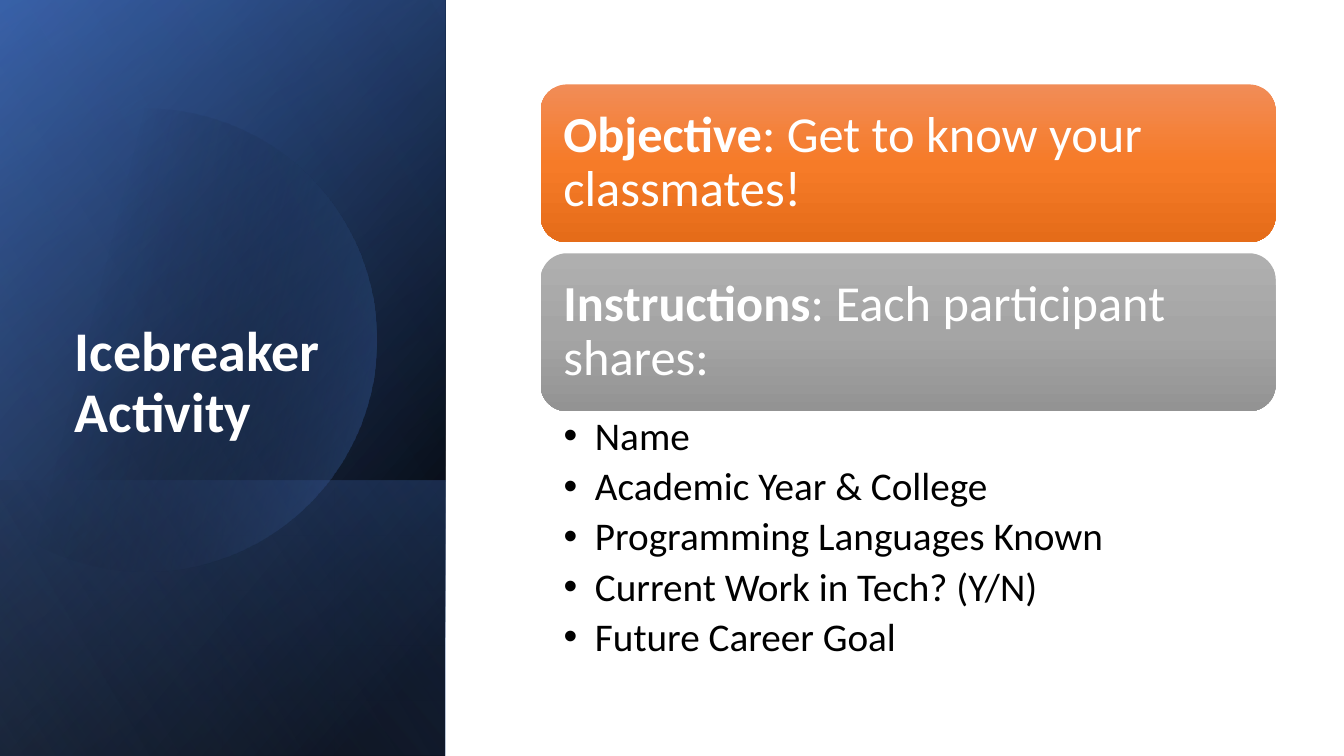
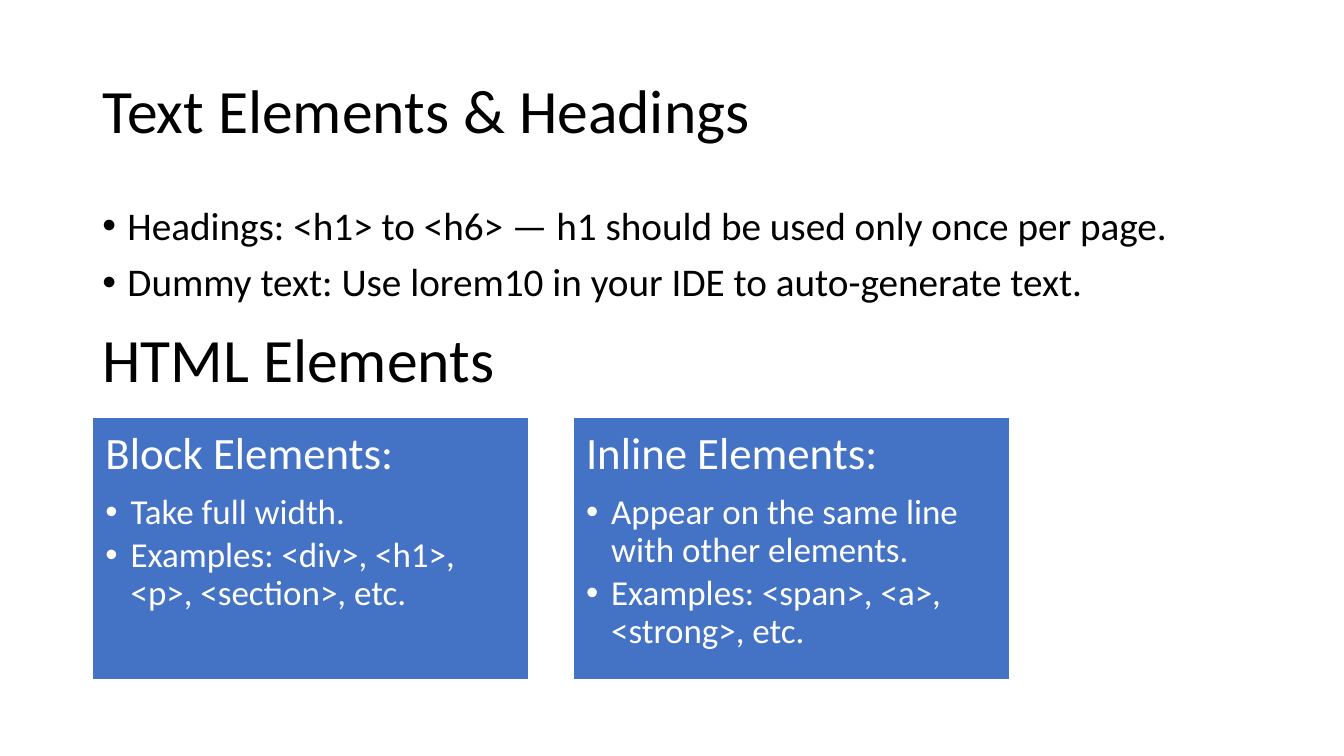
from collections import namedtuple
from math import acos, cos, pi, sin

from pptx import Presentation
from pptx.dml.color import RGBColor
from pptx.enum.shapes import MSO_SHAPE
from pptx.enum.text import MSO_ANCHOR, MSO_AUTO_SIZE, PP_ALIGN
from pptx.oxml import parse_xml
from pptx.oxml.ns import nsdecls, qn
from pptx.util import Inches, Pt

RECT, ROUND = MSO_SHAPE.RECTANGLE, MSO_SHAPE.ROUNDED_RECTANGLE
TOP, MID, LOW = MSO_ANCHOR.TOP, MSO_ANCHOR.MIDDLE, MSO_ANCHOR.BOTTOM
LEFT, FIXED = PP_ALIGN.LEFT, MSO_AUTO_SIZE.NONE

WHITE = RGBColor(0xFF, 0xFF, 0xFF)
BLACK = RGBColor(0x00, 0x00, 0x00)
BLUE = RGBColor(0x44, 0x72, 0xC4)
NAVY = RGBColor(0x2F, 0x55, 0x97)
PALE = RGBColor(0x8F, 0xAA, 0xDC)
ORANGE = [(0, RGBColor(0xF1, 0x8C, 0x57), 100), (50, RGBColor(0xF6, 0x7B, 0x28), 100),
          (100, RGBColor(0xE5, 0x6C, 0x19), 100)]
GREY = [(0, RGBColor(0xAF, 0xAF, 0xAF), 100), (50, RGBColor(0xA5, 0xA5, 0xA5), 100),
        (100, RGBColor(0x93, 0x93, 0x93), 100)]

# The slide is a grid of 160 columns by 90 rows of square cells.
WIDE, HIGH = Inches(13.333), Inches(7.5)
CELL = HIGH / 90
Box = namedtuple("Box", "x y w h")
PANEL = Box(0, 0, 53, 90)

FONT = {"name": "Calibri", "bold": False}
PLAIN = (0.05, 0.1)  # top and side insets in inches


def emu(box):
    return [round(n * CELL) for n in box]


def style(font, size, color, **more):
    for key, val in {**FONT, "size": Pt(size), **more}.items():
        setattr(font, key, val)
    font.color.rgb = color


def setup(frame, anchor=TOP, inset=PLAIN):
    top, side = map(Inches, inset)
    form = {"word_wrap": True, "auto_size": FIXED, "vertical_anchor": anchor,
            "margin_top": top, "margin_bottom": top,
            "margin_left": side, "margin_right": side}
    for key, val in form.items():
        setattr(frame, key, val)


def write(frame, lines, size, color, bullet=0, first=True, **form):
    """Add one paragraph per line; a line is a text or a (bold, normal) pair."""
    for num, line in enumerate(lines):
        para = frame.paragraphs[0] if first and num == 0 else frame.add_paragraph()
        base = {"alignment": LEFT, "line_spacing": 0.9, **form}
        if first and num == 0:
            base.pop("space_before", None)
        for key, val in base.items():
            setattr(para, key, val)
        if bullet:
            props = para._p.get_or_add_pPr()
            props.set("marL", str(Inches(bullet)))
            props.set("indent", str(-Inches(bullet)))
            for mark in ('buFont {} typeface="Arial"', 'buChar {} char="•"'):
                props.append(parse_xml(f'<a:{mark.format(nsdecls("a"))}/>'))
        pair = ("", line) if isinstance(line, str) else line
        for text, bold in zip(pair, (True, False)):
            if text:
                run = para.add_run()
                run.text = text
                style(run.font, size, color, bold=bold)


def blend(shape, stops, angle):
    """Fill with a gradient of (place, colour, opacity) stops, without outline."""
    shape.shadow.inherit = False
    shape.line.fill.background()
    shape.fill.background()
    marks = "".join(
        f'<a:gs pos="{at * 1000}"><a:srgbClr val="{color}">'
        f'<a:alpha val="{alpha * 1000}"/></a:srgbClr></a:gs>'
        for at, color, alpha in stops)
    grad = parse_xml(
        f'<a:gradFill {nsdecls("a")} rotWithShape="1"><a:gsLst>{marks}</a:gsLst>'
        f'<a:lin ang="{angle * 60000}" scaled="0"/></a:gradFill>')
    props = shape._element.spPr
    props.replace(props.find(qn("a:noFill")), grad)


def layer(slide, box, stops, angle):
    """Cover the box with a mirrored rectangle on its side."""
    turned = Box(box.x + (box.w - box.h) / 2, box.y + (box.h - box.w) / 2, box.h, box.w)
    shape = slide.shapes.add_shape(RECT, *emu(turned))
    shape.rotation = 90
    shape._element.spPr.xfrm.set("flipH", "1")
    blend(shape, stops, angle)


def disc(slide, box):
    """Draw a circle that is cut off at the left edge of the box."""
    rad, mid, row = box.w * 0.52, box.x + box.w * 0.325, box.y + box.h * 0.45
    end, steps = pi - acos((mid - box.x) / rad), 120
    turns = [end * (2 * n / steps - 1) for n in range(steps + 1)]
    dots = [((mid + rad * cos(t)) * CELL, (row + rad * sin(t)) * CELL) for t in turns]
    path = slide.shapes.build_freeform(*dots[0])
    path.add_line_segments(dots[1:], close=True)
    blend(path.convert_to_shape(), [(29, BLACK, 0), (100, BLUE, 43)], 14)


def panel(slide, box):
    layer(slide, box, [(8, BLACK, 100), (100, NAVY, 100)], 50)
    layer(slide, box, [(0, BLACK, 0), (99, BLUE, 46)], 30)
    foot = box.h * 0.365
    layer(slide, Box(box.x, box.y + box.h - foot, box.w, foot),
          [(2, BLUE, 29), (100, BLACK, 30)], 130)
    disc(slide, box)
    layer(slide, box, [(0, BLACK, 0), (99, PALE, 11)], 120)


def head(slide, box, text, size, color, anchor, bold=False):
    title = slide.shapes.title
    title.left, title.top, title.width, title.height = emu(box)
    setup(title.text_frame, anchor)
    write(title.text_frame, [(text, "") if bold else text], size, color)
    tree = slide.shapes._spTree
    tree.remove(title._element)
    tree.append(title._element)


def words(slide, box, lines, size, inset=PLAIN, **form):
    frame = slide.shapes.add_textbox(*emu(box)).text_frame
    setup(frame, inset=inset)
    write(frame, lines, size, BLACK, **form)


def bars(slide, box, rows):
    """Stack one rounded bar per row, with a gap between them."""
    step = box.h / len(rows)
    for num, (line, stops) in enumerate(rows):
        bar = slide.shapes.add_shape(
            ROUND, *emu(Box(box.x, box.y + num * step, box.w, step - 1.3)))
        blend(bar, stops, 90)
        setup(bar.text_frame, MID, (0.15, 0.15))
        write(bar.text_frame, [line], 36, WHITE)


def cards(slide, box, items):
    """Set one card per item side by side, with a gap between them."""
    gap = 5.2
    wide = (box.w - gap * (len(items) - 1)) / len(items)
    for num, (name, points) in enumerate(items):
        card = slide.shapes.add_shape(
            RECT, *emu(Box(box.x + num * (wide + gap), box.y, wide, box.h)))
        card.shadow.inherit = False
        card.fill.solid()
        card.fill.fore_color.rgb = BLUE
        card.line.color.rgb = WHITE
        card.line.width = Pt(1)
        setup(card.text_frame, inset=(0.13, 0.13))
        write(card.text_frame, [name], 32, WHITE, space_after=Pt(11.2))
        write(card.text_frame, points, 25, WHITE, bullet=0.25, first=False,
              space_after=Pt(3.75))


def intro(slide):
    panel(slide, PANEL)
    head(slide, Box(7.7, 22.1, 40.9, 31.4), "Icebreaker Activity", 40, WHITE, LOW, True)
    main_box = Box(64.35, 10.05, 87.5, 40.2)
    bars(slide, main_box, [
        (("Objective", ": Get to know your classmates!"), ORANGE),
        (("Instructions", ": Each participant shares:"), GREY)])
    words(slide, Box(main_box.x, 49, main_box.w, 32.3),
          ["Name", "Academic Year & College", "Programming Languages Known",
           "Current Work in Tech? (Y/N)", "Future Career Goal"],
          28, (0.05, 0.23), bullet=0.31, space_after=Pt(5.6))


def markup(slide):
    left, wide = 11, 138
    head(slide, Box(left, 4.8, wide, 17.4), "Text Elements & Headings", 44, BLACK, MID)
    words(slide, Box(left, 24, wide, 18.4),
          ["Headings: <h1> to <h6> — h1 should be used only once per page.",
           "Dummy text: Use lorem10 in your IDE to auto-generate text."],
          28, bullet=0.25, space_before=Pt(10))
    words(slide, Box(left, 37.6, 80, 10.1), ["HTML Elements"], 44, line_spacing=1.0)
    cards(slide, Box(left, 49.7, 109.2, 31.2), [
        ("Block Elements:",
         ["Take full width.", "Examples: <div>, <h1>, <p>, <section>, etc."]),
        ("Inline Elements:",
         ["Appear on the same line with other elements.",
          "Examples: <span>, <a>, <strong>, etc."])])


def main():
    deck = Presentation()
    deck.slide_width, deck.slide_height = WIDE, HIGH
    for build in (intro, markup):
        build(deck.slides.add_slide(deck.slide_layouts[5]))
    deck.save("out.pptx")


if __name__ == "__main__":
    main()
